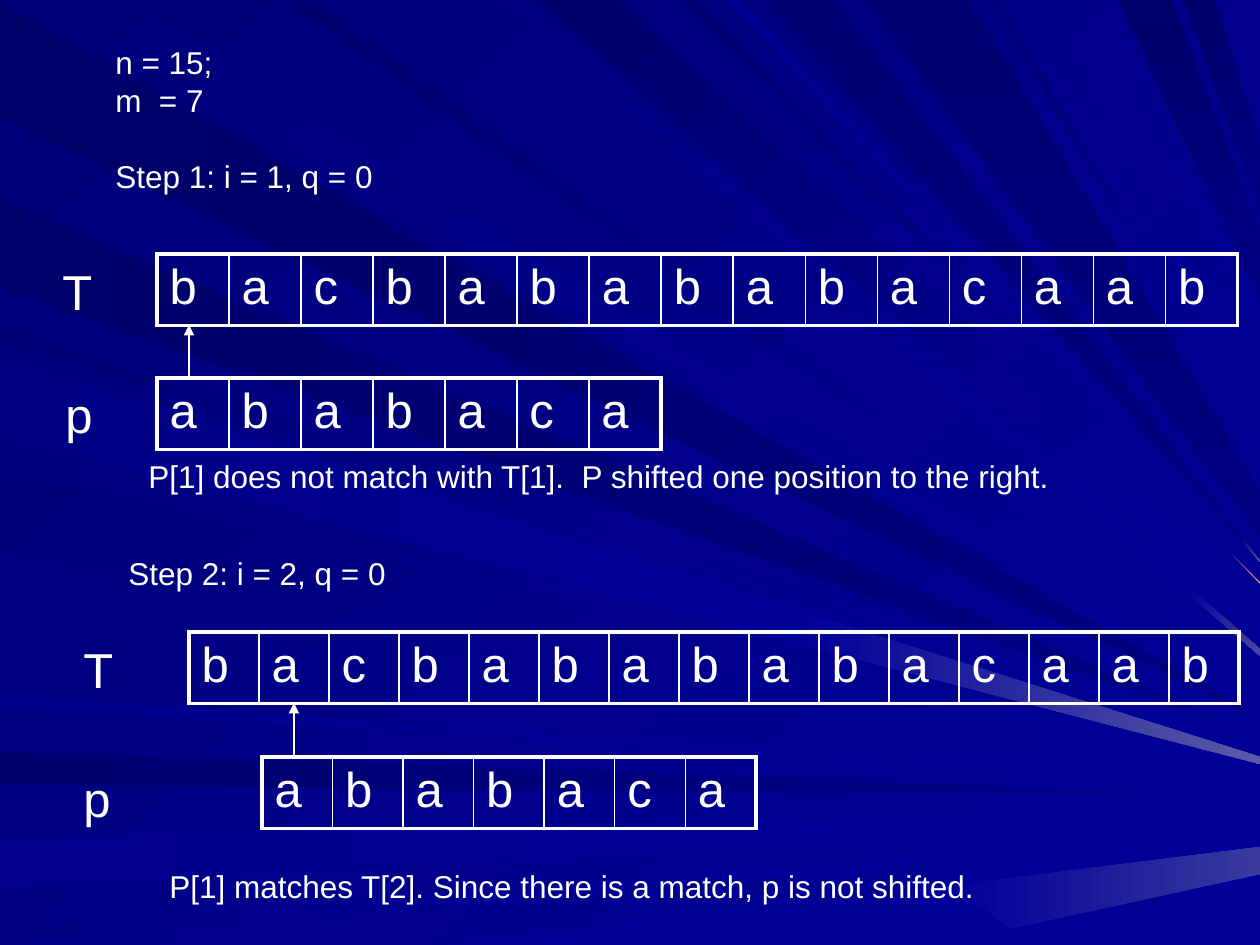
from typing import NamedTuple, Optional

from lxml.etree import SubElement
from pptx import Presentation
from pptx.dml.color import RGBColor
from pptx.enum.shapes import MSO_CONNECTOR
from pptx.oxml import parse_xml
from pptx.oxml.ns import nsdecls, qn
from pptx.util import Inches, Pt

SCALE = Inches(1) / 126
WIDTH, HEIGHT = 1260, 945
WHITE, NAVY, BLUE = "FFFFFF", "000080", "000099"
GLARE_LOW, GLARE_MID, GLARE_HIGH, GLARE_PINK = "39399E", "4A4AA1", "5A5AA6", "FF9999"
ACROSS, DIAGONAL, DOWN = 0, 45, 90
INNER_BORDER, OUTER_BORDER = 1, 2.25
BODY_SIZE, LETTER_SIZE = 18, 28
TEXT, PATTERN = "bacbabababacaab", "ababaca"


class Ray(NamedTuple):
    """A beam from a span of one slide edge to heights on the right edge."""
    edge: str
    span: tuple
    ends: tuple
    dark: str
    light: str
    angle: int
    seam: Optional[tuple] = None
    tip: str = BLUE


class Row(NamedTuple):
    """A named array of letters and the place of its name."""
    name: str
    name_left: int
    name_top: int
    letters: str
    left: int
    top: int
    width: int
    height: int


class Step(NamedTuple):
    """One step of the matching: both rows, the arrow and the texts."""
    heading: tuple
    text_row: Row
    pattern_row: Row
    arrow_x: int
    note: tuple


RAYS = [
    Ray("left", (3, 117), (717, 718), "000069", NAVY, ACROSS),
    Ray("top", (127, 33), (708, 709), "00007B", BLUE, DIAGONAL),
    Ray("left", (751, 785), (795, 796), "000071", NAVY, ACROSS, (883, 883)),
    Ray("left", (838, 887), (810, 820), "00008C", BLUE, ACROSS, (1047, 1047)),
    Ray("left", (926, 945), (834, 834), "000085", BLUE, ACROSS, (791, 791)),
    Ray("bottom", (459, 935), (847, 874), BLUE, BLUE, ACROSS, (953, 1009), GLARE_LOW),
    Ray("left", (325, 340), (742, 742), "000076", BLUE, DIAGONAL, (1100, 1100)),
    Ray("left", (200, 287), (736, 737), "00006B", NAVY, ACROSS, (1100, 1100)),
    Ray("top", (524, 501), (649, 656), "000083", BLUE, DIAGONAL, (1193, 1189), GLARE_MID),
    Ray("top", (620, 537), (604, 639), "00006D", BLUE, DIAGONAL, (1220, 1198)),
    Ray("top", (696, 680), (583, 583), "000073", BLUE, DIAGONAL, (1231, 1231), GLARE_PINK),
    Ray("top", (833, 764), (561, 562), "000073", NAVY, DOWN, (1244, 1241), GLARE_HIGH),
    Ray("top", (1172, 1118), (231, 299), "00006B", NAVY, DOWN, (1242, 1226), NAVY),
    Ray("top", (1215, 1183), (144, 210), "00006D", NAVY, DOWN, (1259, 1246), NAVY),
    Ray("left", (350, 431), (751, 759), "00007E", BLUE, DIAGONAL),
    Ray("left", (471, 551), (762, 764), "00007B", BLUE, DIAGONAL),
    Ray("left", (696, 706), (782, 785), "00008E", BLUE, ACROSS),
    Ray("top", (311, 284), (689, 696), "000070", BLUE, DIAGONAL),
    Ray("top", (741, 727), (571, 572), "00008E", BLUE, DIAGONAL),
    Ray("top", (970, 864), (491, 539), "000073", NAVY, DOWN),
    Ray("top", (998, 989), (446, 454), "000078", BLUE, DIAGONAL),
    Ray("top", (1038, 1027), (422, 423), "000085", BLUE, DIAGONAL),
    Ray("top", (1099, 1090), (314, 325), "00008A", BLUE, DIAGONAL),
    Ray("left", (357, 437), (757, 764), "000085", BLUE, ACROSS, (803, 798), GLARE_HIGH),
]

STEPS = [
    Step((["n = 15;", "m  = 7", "Step 1: i = 1, q = 0"], 103, 37, 501, 202),
         Row("T", 50, 255, TEXT, 157, 254, 1081, 68),
         Row("p", 53, 378, PATTERN, 157, 378, 504, 68), 189,
         (["P[1] does not match with T[1].  P shifted one position to the right."],
          136, 451, 1061, 107)),
    Step((["Step 2: i = 2, q = 0"], 116, 548, 300, 60),
         Row("T", 71, 633, TEXT, 189, 632, 1050, 68),
         Row("p", 71, 762, PATTERN, 262, 757, 494, 71), 294,
         (["P[1] matches T[2]. Since there is a match, p is not shifted."],
          157, 861, 860, 50)),
]


def px(length):
    """Turn pixels into EMU."""
    return round(length * SCALE)


def color(value):
    """Turn a hex string into a colour."""
    return RGBColor.from_string(value)


def set_format(target, values):
    """Set each attribute in values on target."""
    for name, value in values.items():
        setattr(target, name, value)


def set_gradient(fill, start, end, angle):
    """Give fill a two-stop gradient with a clockwise angle."""
    fill.gradient()
    fill.gradient_angle = (360 - angle) % 360
    for stop, value in zip(fill.gradient_stops, (start, end)):
        stop.color.rgb = color(value)


def set_font(paragraph, size):
    """Format the runs of a paragraph."""
    for run in paragraph.runs:
        set_format(run.font, {"name": "Arial", "size": Pt(size), "bold": False})
        run.font.color.rgb = color(WHITE)


def edge_point(edge, offset):
    """Find the point at an offset along a slide edge."""
    return {"top": (offset, 0), "left": (0, offset), "bottom": (offset, HEIGHT)}[edge]


def point_between(start, end, x):
    """Find the point at x on the line from start to end."""
    share = (x - start[0]) / (end[0] - start[0])
    return x, round(start[1] + share * (end[1] - start[1]))


def add_section(slide, near, far, start, end, angle):
    """Draw the four-sided part of a ray between two cross lines."""
    builder = slide.shapes.build_freeform(*near[0], scale=SCALE)
    builder.add_line_segments([near[1], far[1], far[0]], close=True)
    shape = builder.convert_to_shape()
    shape.shadow.inherit = False
    shape.line.fill.background()
    set_gradient(shape.fill, start, end, angle)


def add_ray(slide, ray):
    """Draw a ray, in two sections where it has a seam."""
    origin = [edge_point(ray.edge, offset) for offset in ray.span]
    target = [(WIDTH, y) for y in ray.ends]
    middle = target
    if ray.seam:
        middle = [point_between(*line) for line in zip(origin, target, ray.seam)]
        add_section(slide, middle, target, ray.light, ray.tip, ray.angle)
    add_section(slide, origin, middle, ray.dark, ray.light, ray.angle)


def set_borders(cell, left, right):
    """Draw the four borders of a cell."""
    properties = cell._tc.get_or_add_tcPr()
    widths = {"L": left, "R": right, "T": OUTER_BORDER, "B": OUTER_BORDER}
    for position, (side, width) in enumerate(widths.items()):
        properties.insert(position, parse_xml(
            f'<a:ln{side} {nsdecls("a")} w="{Pt(width)}"><a:solidFill>'
            f'<a:srgbClr val="{WHITE}"/></a:solidFill></a:ln{side}>'))


def add_row(slide, row):
    """Add the name of an array and a table with a letter in each cell."""
    add_text(slide, [row.name], row.name_left, row.name_top, 60, 72, LETTER_SIZE)
    box = map(px, (row.left, row.top, row.width, row.height))
    table = slide.shapes.add_table(1, len(row.letters), *box).table
    set_format(table, {"first_row": False, "horz_banding": False})
    last = len(row.letters) - 1
    for index, letter in enumerate(row.letters):
        cell = table.cell(0, index)
        cell.text = letter
        cell.fill.background()
        set_font(cell.text_frame.paragraphs[0], LETTER_SIZE)
        set_borders(cell, OUTER_BORDER if index == 0 else INNER_BORDER,
                    OUTER_BORDER if index == last else INNER_BORDER)


def add_text(slide, lines, left, top, width, height, size=BODY_SIZE):
    """Add a text box, setting a step line apart from lines above it."""
    frame = slide.shapes.add_textbox(*map(px, (left, top, width, height))).text_frame
    set_format(frame, {"word_wrap": True, "text": "\n".join(lines)})
    for paragraph in frame.paragraphs:
        set_font(paragraph, size)
    if len(lines) > 1:
        frame.paragraphs[-1].space_before = Pt(22)


def add_arrow(slide, x, bottom, top):
    """Add an arrow that points up."""
    arrow = slide.shapes.add_connector(
        MSO_CONNECTOR.STRAIGHT, *map(px, (x, bottom, x, top)))
    arrow.line.color.rgb = color(WHITE)
    arrow.line.width = Pt(0.75)
    SubElement(arrow.line._get_or_add_ln(), qn("a:tailEnd"), type="triangle")
    SubElement(arrow._element.spPr, qn("a:effectLst"))


def add_step(slide, step):
    """Add the texts, both rows and the arrow of one step."""
    add_text(slide, *step.heading)
    add_row(slide, step.text_row)
    add_row(slide, step.pattern_row)
    add_arrow(slide, step.arrow_x, step.pattern_row.top, step.text_row.top + 71)
    add_text(slide, *step.note)


def main():
    """Build the slide on string matching and save it."""
    presentation = Presentation()
    set_format(presentation, {"slide_width": px(WIDTH), "slide_height": px(HEIGHT)})
    slide = presentation.slides.add_slide(presentation.slide_layouts[6])
    set_gradient(slide.background.fill, "000078", BLUE, DIAGONAL)
    for ray in RAYS:
        add_ray(slide, ray)
    for step in STEPS:
        add_step(slide, step)
    presentation.save("out.pptx")


if __name__ == "__main__":
    main()
